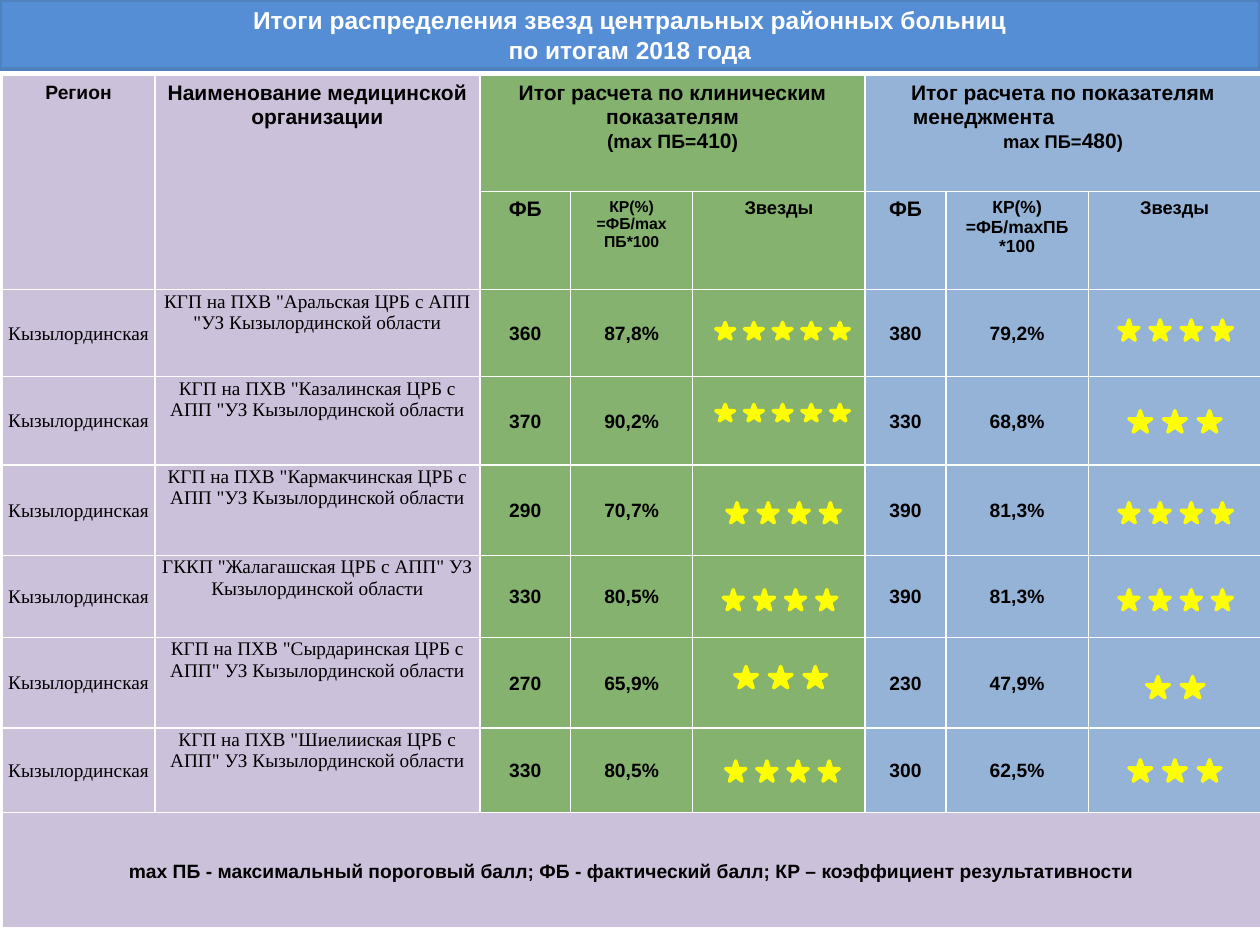
from lxml.etree import SubElement as Sub
from pptx import Presentation
from pptx.dml.color import RGBColor as RGB
from pptx.enum.shapes import MSO_SHAPE as Shape
from pptx.enum.text import MSO_ANCHOR as Anchor, PP_ALIGN as Align
from pptx.oxml.ns import qn
from pptx.util import Pt

HUE = {
    "bar": "558ED5", "edge": "4F81BD", "white": "FFFFFF", "ink": "000000",
    "lilac": "CCC1DA", "green": "85B26E", "blue": "95B3D7", "star": "FFFF00",
}
ARIAL, TIMES = "Arial", "Times New Roman"


def write(frame, paras, font=ARIAL, bold=True, hue="ink"):
    for i, runs in enumerate(paras):
        para = frame.paragraphs[0] if i == 0 else frame.add_paragraph()
        para.alignment = Align.CENTER
        for text, size in runs:
            run = para.add_run()
            run.text = text
            run.font.name = font
            run.font.size = Pt(size)
            run.font.bold = bold
            run.font.color.rgb = RGB.from_string(HUE[hue])


def fill_cell(cell, paras, pad=None, mid=False, **look):
    if pad:
        cell.margin_left = cell.margin_right = Pt(pad[0])
        cell.margin_top, cell.margin_bottom = Pt(pad[1]), Pt(0)
    if mid:
        cell.vertical_anchor = Anchor.MIDDLE
    write(cell.text_frame, paras, **look)


deck = Presentation()
deck.slide_width, deck.slide_height = Pt(720), Pt(540)
slide = deck.slides.add_slide(deck.slide_layouts[6])

bar = slide.shapes.add_shape(Shape.RECTANGLE, Pt(0), Pt(0), Pt(720), Pt(39.6))
bar.shadow.inherit = False
bar.fill.solid()
bar.fill.fore_color.rgb = RGB.from_string(HUE["bar"])
bar.line.color.rgb = RGB.from_string(HUE["edge"])
bar.line.width = Pt(2)
bar.text_frame.word_wrap = True
bar.text_frame.vertical_anchor = Anchor.MIDDLE
write(bar.text_frame, [
    [("Итоги распределения звезд центральных районных больниц", 14)],
    [("по итогам 2018 года", 14)],
], hue="white")

wide = [87.1, 185.8, 51.8, 69.8, 98.6, 46.1, 81.4, 98.6]
high = [66.2, 56.2, 49.7, 50.4, 51.8, 46.8, 51.8, 48.2, 66.2]
grid = slide.shapes.add_table(
    len(high), len(wide), Pt(1.4), Pt(43.2), Pt(sum(wide)), Pt(sum(high))).table
grid.first_row = grid.horz_banding = False
for col, size in zip(grid.columns, wide):
    col.width = Pt(size)
for row, size in zip(grid.rows, high):
    row.height = Pt(size)

tints = ["lilac"] * 2 + ["green"] * 3 + ["blue"] * 3
for r in range(len(high)):
    for c, tint in enumerate(tints):
        cell = grid.cell(r, c)
        props = cell._tc.get_or_add_tcPr()
        for side in ("a:lnL", "a:lnR", "a:lnT", "a:lnB"):
            line = Sub(props, qn(side), w=str(Pt(1)))
            Sub(Sub(line, qn("a:solidFill")), qn("a:srgbClr"), val=HUE["white"])
        cell.fill.solid()
        name = "lilac" if r == len(high) - 1 else tint
        cell.fill.fore_color.rgb = RGB.from_string(HUE[name])

for top, left, end, last in [
    (0, 0, 1, 0), (0, 1, 1, 1), (0, 2, 0, 4), (0, 5, 0, 7), (8, 0, 8, 7),
]:
    grid.cell(top, left).merge(grid.cell(end, last))

heads = [
    (0, 0, [[("Регион", 11)]]),
    (0, 1, [[("Наименование медицинской организации", 12)]]),
    (0, 2, [[("Итог расчета по клиническим показателям", 12)],
            [("(mах ПБ=", 11), ("410", 12), (")", 11)]]),
    (0, 5, [[("Итог расчета по показателям", 12)], [("менеджмента", 12)],
            [("mах ПБ=", 10.5), ("480", 12), (")", 10.5)]]),
    (1, 2, [[("ФБ", 12)]]),
    (1, 3, [[("КР(%)", 9)], [("=ФБ/mах ПБ*100", 9)]]),
    (1, 4, [[("Звезды", 10.5)]]),
    (1, 5, [[("ФБ", 12)]]),
    (1, 6, [[("КР(%)", 10)], [("=ФБ/mахПБ *100", 10)]]),
    (1, 7, [[("Звезды", 10.5)]]),
]
for r, c, paras in heads:
    fill_cell(grid.cell(r, c), paras)

shift = grid.cell(0, 5).text_frame.paragraphs[1]
shift.alignment = Align.LEFT
shift._p.get_or_add_pPr().set("marL", str(Pt(20)))

data = [
    ('КГП на ПХВ "Аральская ЦРБ с АПП "УЗ Кызылординской области',
     "360", "87,8%", "380", "79,2%"),
    ('КГП на ПХВ "Казалинская ЦРБ с АПП "УЗ Кызылординской области',
     "370", "90,2%", "330", "68,8%"),
    ('КГП на ПХВ "Кармакчинская ЦРБ с АПП "УЗ Кызылординской области',
     "290", "70,7%", "390", "81,3%"),
    ('ГККП "Жалагашская ЦРБ с АПП" УЗ Кызылординской области',
     "330", "80,5%", "390", "81,3%"),
    ('КГП на ПХВ "Сырдаринская ЦРБ с АПП" УЗ Кызылординской области',
     "270", "65,9%", "230", "47,9%"),
    ('КГП на ПХВ "Шиелииская ЦРБ с АПП" УЗ Кызылординской области',
     "330", "80,5%", "300", "62,5%"),
]
for r, (name, *marks) in enumerate(data, 2):
    for c, text in zip((0, 1, 2, 3, 5, 6), ("Кызылординская", name, *marks)):
        fill_cell(grid.cell(r, c), [[(text, 11)]], pad=(0.7, 0.7), mid=c != 1,
                  font=TIMES if c < 2 else ARIAL, bold=c > 1)

note = grid.cell(8, 0)
fill_cell(note, [[(
    "mах ПБ - максимальный пороговый балл; ФБ - фактический балл; "
    "КР – коэффициент результативности", 11)]], pad=(5, 0), mid=True)
note.text_frame.paragraphs[0].line_spacing = 1.15

sizes = {5: (10.8, 9.4, 16.4), 4: (11.5, 11.5, 17.8),
         3: (13, 12.2, 19.8), 2: (13, 12.2, 19.8)}
rates = [
    (5, 409, 184.3), (5, 409, 231.1), (4, 415.4, 287.3),
    (4, 413.3, 337), (3, 419.8, 380.9), (4, 414.7, 434.9),
    (4, 639.4, 182.9), (3, 645.1, 234.7), (4, 639.4, 287.3),
    (4, 639.4, 337), (2, 655.2, 386.6), (3, 645.1, 434.2),
]
for count, x, y in rates:
    w, h, step = sizes[count]
    group = slide.shapes.add_group_shape()
    for i in range(count):
        star = group.shapes.add_shape(
            Shape.STAR_5_POINT, Pt(x + i * step), Pt(y), Pt(w), Pt(h))
        star.shadow.inherit = False
        star.fill.solid()
        star.fill.fore_color.rgb = RGB.from_string(HUE["star"])
        star.line.color.rgb = RGB.from_string(HUE["star"])
        star.line.width = Pt(2)

deck.save("out.pptx")
